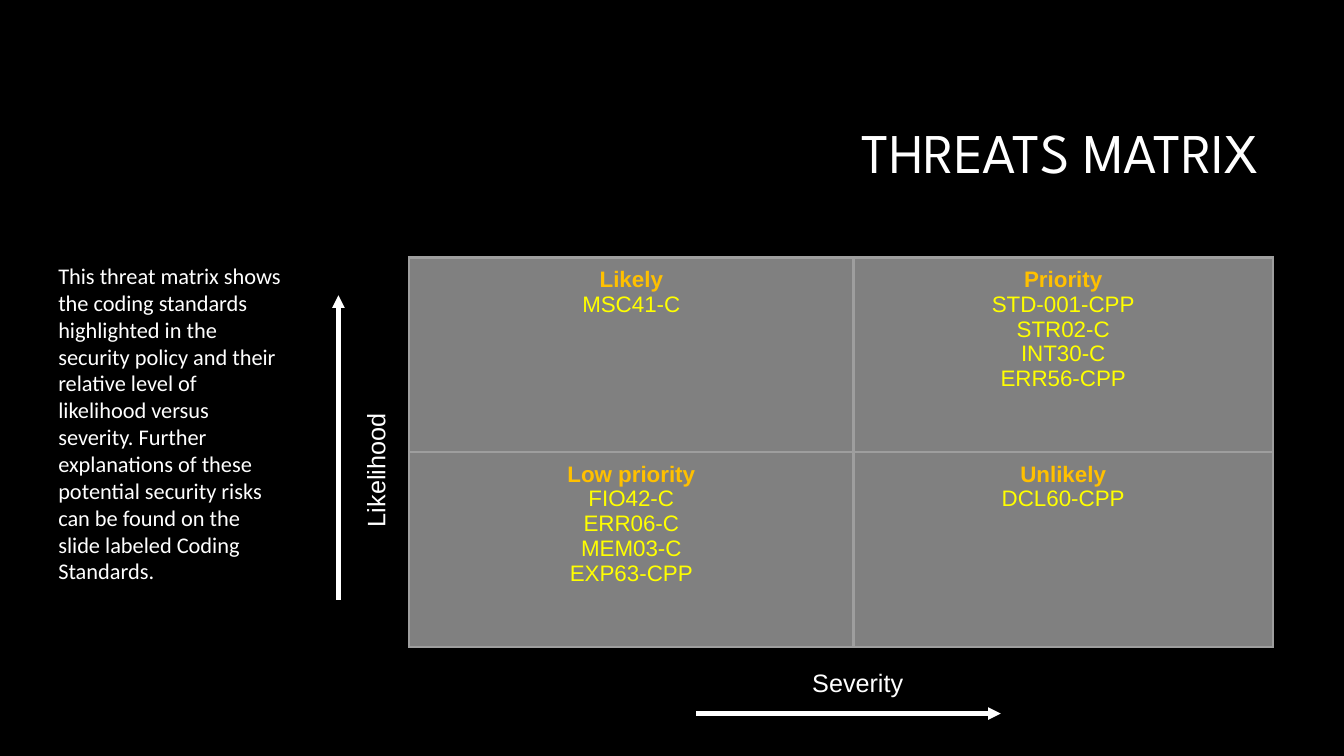
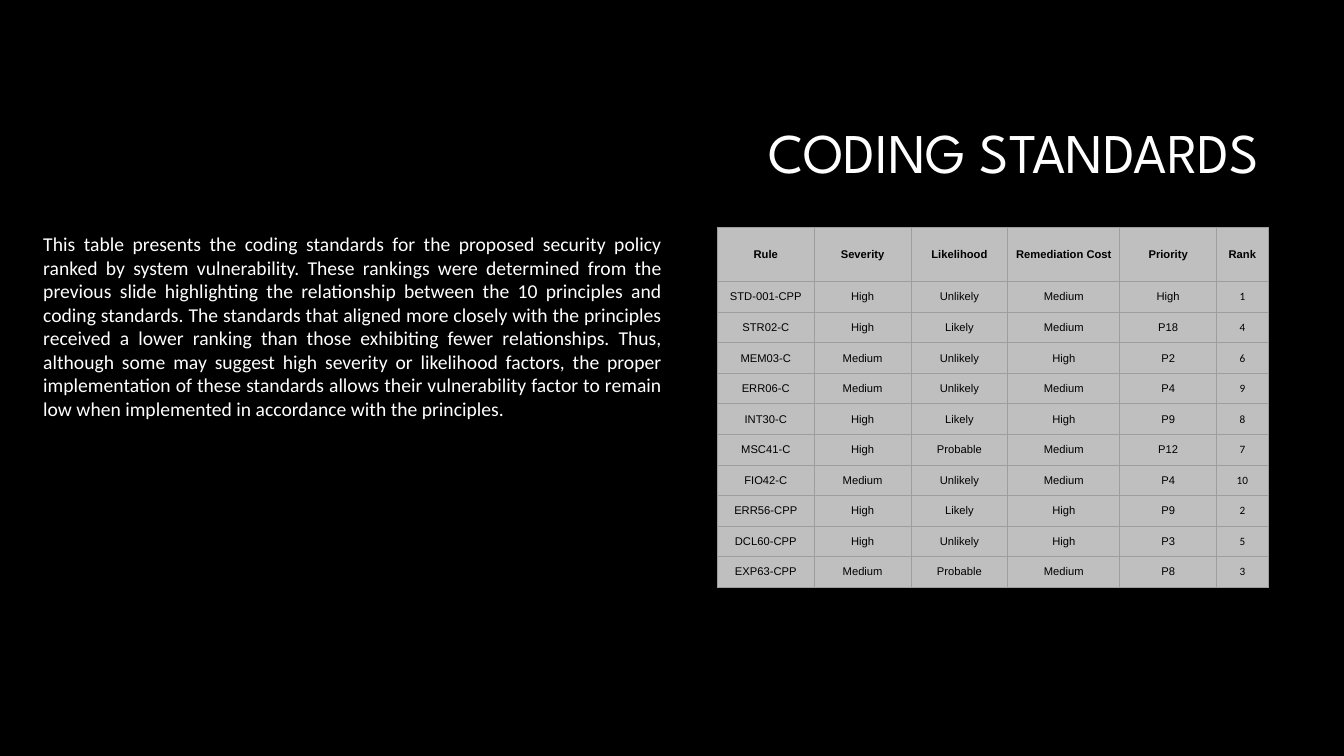
from lxml import etree
from pptx import Presentation
from pptx.dml.color import RGBColor
from pptx.enum.shapes import MSO_CONNECTOR
from pptx.enum.text import MSO_ANCHOR, MSO_AUTO_SIZE, PP_ALIGN
from pptx.oxml.ns import qn
from pptx.util import Cm, Pt

COLORS = {
    "background": "000000",
    "text": "FFFFFF",
    "border": "9E9E9E",
    "matrix": "808080",
    "heading": "FFC000",
    "rule": "FFFF00",
    "table": "BFBFBF",
    "table_text": "000000",
}

TITLE_STYLE = {"name": "League Spartan", "size": Pt(40), "bold": False}
LABEL_STYLE = {"name": "Arial", "size": Pt(18)}
RULE_STYLE = {"name": "Arial", "size": Pt(16), "bold": False}
HEADING_STYLE = {**RULE_STYLE, "bold": True}
CELL_STYLE = {"name": "Arial", "size": Pt(8), "bold": False}
HEADER_STYLE = {**CELL_STYLE, "bold": True}
RANK_STYLE = {**CELL_STYLE, "name": "Calibri"}

MATRIX_CELL = {
    "margin_left": Cm(0.25),
    "margin_right": Cm(0.25),
    "margin_top": Cm(0.25),
    "margin_bottom": Cm(0.25),
    "vertical_anchor": MSO_ANCHOR.TOP,
}
STANDARDS_CELL = {
    "margin_left": Cm(0.18),
    "margin_right": Cm(0.18),
    "margin_top": 0,
    "margin_bottom": 0,
    "vertical_anchor": MSO_ANCHOR.MIDDLE,
}

MATRIX = [
    [
        ["Likely", "MSC41-C"],
        ["Priority", "STD-001-CPP", "STR02-C", "INT30-C", "ERR56-CPP"],
    ],
    [
        ["Low priority", "FIO42-C", "ERR06-C", "MEM03-C", "EXP63-CPP"],
        ["Unlikely", "DCL60-CPP"],
    ],
]

STANDARDS = [
    ["Rule", "Severity", "Likelihood", "Remediation Cost", "Priority", "Rank"],
    ["STD-001-CPP", "High", "Unlikely", "Medium", "High", "1"],
    ["STR02-C", "High", "Likely", "Medium", "P18", "4"],
    ["MEM03-C", "Medium", "Unlikely", "High", "P2", "6"],
    ["ERR06-C", "Medium", "Unlikely", "Medium", "P4", "9"],
    ["INT30-C", "High", "Likely", "High", "P9", "8"],
    ["MSC41-C", "High", "Probable", "Medium", "P12", "7"],
    ["FIO42-C", "Medium", "Unlikely", "Medium", "P4", "10"],
    ["ERR56-CPP", "High", "Likely", "High", "P9", "2"],
    ["DCL60-CPP", "High", "Unlikely", "High", "P3", "5"],
    ["EXP63-CPP", "Medium", "Probable", "Medium", "P8", "3"],
]

MATRIX_TEXT = (
    "This threat matrix shows the coding standards highlighted in the security "
    "policy and their relative level of likelihood versus severity. Further "
    "explanations of these potential security risks can be found on the slide "
    "labeled Coding Standards."
)
STANDARDS_TEXT = (
    "This table presents the coding standards for the proposed security policy "
    "ranked by system vulnerability. These rankings were determined from the "
    "previous slide highlighting the relationship between the 10 principles and "
    "coding standards. The standards that aligned more closely with the "
    "principles received a lower ranking than those exhibiting fewer "
    "relationships. Thus, although some may suggest high severity or likelihood "
    "factors, the proper implementation of these standards allows their "
    "vulnerability factor to remain low when implemented in accordance with the "
    "principles."
)


def color(name):
    return RGBColor.from_string(COLORS[name])


def apply_format(target, values):
    for name, value in values.items():
        setattr(target, name, value)


def write(paragraph, text, style, color_name="text", alignment=PP_ALIGN.LEFT):
    run = paragraph.add_run()
    run.text = text
    apply_format(run.font, style)
    run.font.color.rgb = color(color_name)
    paragraph.alignment = alignment


def add_titled_slide(presentation, text):
    slide = presentation.slides.add_slide(presentation.slide_layouts[5])
    title = slide.shapes.title
    box = {"left": Cm(8.05), "top": Cm(2.13), "width": Cm(23.93), "height": Cm(3.58)}
    apply_format(title, box)
    frame = {"vertical_anchor": MSO_ANCHOR.MIDDLE, "auto_size": MSO_AUTO_SIZE.NONE}
    apply_format(title.text_frame, frame)
    paragraph = title.text_frame.paragraphs[0]
    write(paragraph, text, TITLE_STYLE, alignment=PP_ALIGN.RIGHT)
    paragraph.line_spacing = 0.9
    return slide


def add_text(slide, text, box, style, alignment=PP_ALIGN.LEFT, rotation=0):
    shape = slide.shapes.add_textbox(*map(Cm, box))
    shape.rotation = rotation
    shape.text_frame.word_wrap = True
    write(shape.text_frame.paragraphs[0], text, style, alignment=alignment)


def add_arrow(slide, start, end):
    points = map(Cm, (*start, *end))
    arrow = slide.shapes.add_connector(MSO_CONNECTOR.STRAIGHT, *points)
    arrow.line.color.rgb = color("text")
    arrow.line.width = Pt(3)
    line = arrow.line._get_or_add_ln()
    etree.SubElement(line, qn("a:tailEnd"), type="triangle")
    etree.SubElement(arrow._element.spPr, qn("a:effectLst"))


def add_borders(cell, width):
    properties = cell._tc.get_or_add_tcPr()
    for side in ("lnL", "lnR", "lnT", "lnB"):
        line = etree.SubElement(properties, qn(f"a:{side}"), w=str(Pt(width)))
        fill = etree.SubElement(line, qn("a:solidFill"))
        etree.SubElement(fill, qn("a:srgbClr"), val=COLORS["border"])


def add_grid(slide, position, widths, heights, border, fill, cell_format):
    size = (sum(widths), sum(heights))
    frame = slide.shapes.add_table(
        len(heights), len(widths), *map(Cm, (*position, *size))
    )
    table = frame.table
    apply_format(table, {"first_row": False, "horz_banding": False})
    for column, width in zip(table.columns, widths):
        column.width = Cm(width)
    for row, height in zip(table.rows, heights):
        row.height = Cm(height)
    for cell in table.iter_cells():
        add_borders(cell, border)
        cell.fill.solid()
        cell.fill.fore_color.rgb = color(fill)
        apply_format(cell, cell_format)
    return table


def add_matrix(slide):
    table = add_grid(
        slide, (10.31, 6.48), [11.2, 10.57], [4.91] * 2, 2.25, "matrix", MATRIX_CELL
    )
    for cell, (heading, *rules) in zip(table.iter_cells(), sum(MATRIX, [])):
        frame = cell.text_frame
        write(frame.paragraphs[0], heading, HEADING_STYLE, "heading", PP_ALIGN.CENTER)
        for rule in rules:
            write(frame.add_paragraph(), rule, RULE_STYLE, "rule", PP_ALIGN.CENTER)


def add_standards(slide):
    widths = [2.44, 2.44, 2.44, 2.82, 2.44, 1.3]
    heights = [1.38] + [0.77] * (len(STANDARDS) - 1)
    table = add_grid(
        slide, (18.08, 5.72), widths, heights, 0.75, "table", STANDARDS_CELL
    )
    rank_column = len(widths) - 1
    for row, values in enumerate(STANDARDS):
        for column, value in enumerate(values):
            style = RANK_STYLE if column == rank_column else CELL_STYLE
            paragraph = table.cell(row, column).text_frame.paragraphs[0]
            write(
                paragraph,
                value,
                HEADER_STYLE if row == 0 else style,
                "table_text",
                PP_ALIGN.CENTER,
            )


def body_style(size):
    return {"name": "Calibri", "size": Pt(size)}


def build_matrix_slide(presentation):
    slide = add_titled_slide(presentation, "THREATS MATRIX")
    add_matrix(slide)
    add_text(slide, "Likelihood", (7.11, 10.67, 4.7, 1.02), LABEL_STYLE, rotation=270)
    add_text(slide, "Severity", (20.22, 16.69, 4.7, 1.02), LABEL_STYLE)
    add_arrow(slide, (8.53, 15.11), (8.53, 7.44))
    add_arrow(slide, (17.55, 17.98), (25.22, 17.98))
    add_text(slide, MATRIX_TEXT, (1.22, 6.48, 6.17, 9.4), body_style(16))


def build_standards_slide(presentation):
    slide = add_titled_slide(presentation, "CODING STANDARDS")
    add_standards(slide)
    box = (0.84, 5.72, 16.1, 5.05)
    add_text(slide, STANDARDS_TEXT, box, body_style(14), PP_ALIGN.JUSTIFY)


def main():
    presentation = Presentation()
    size = {"slide_width": Cm(33.87), "slide_height": Cm(19.05)}
    apply_format(presentation, size)
    background = presentation.slide_master.background.fill
    background.solid()
    background.fore_color.rgb = color("background")
    build_matrix_slide(presentation)
    build_standards_slide(presentation)
    presentation.save("out.pptx")


if __name__ == "__main__":
    main()
